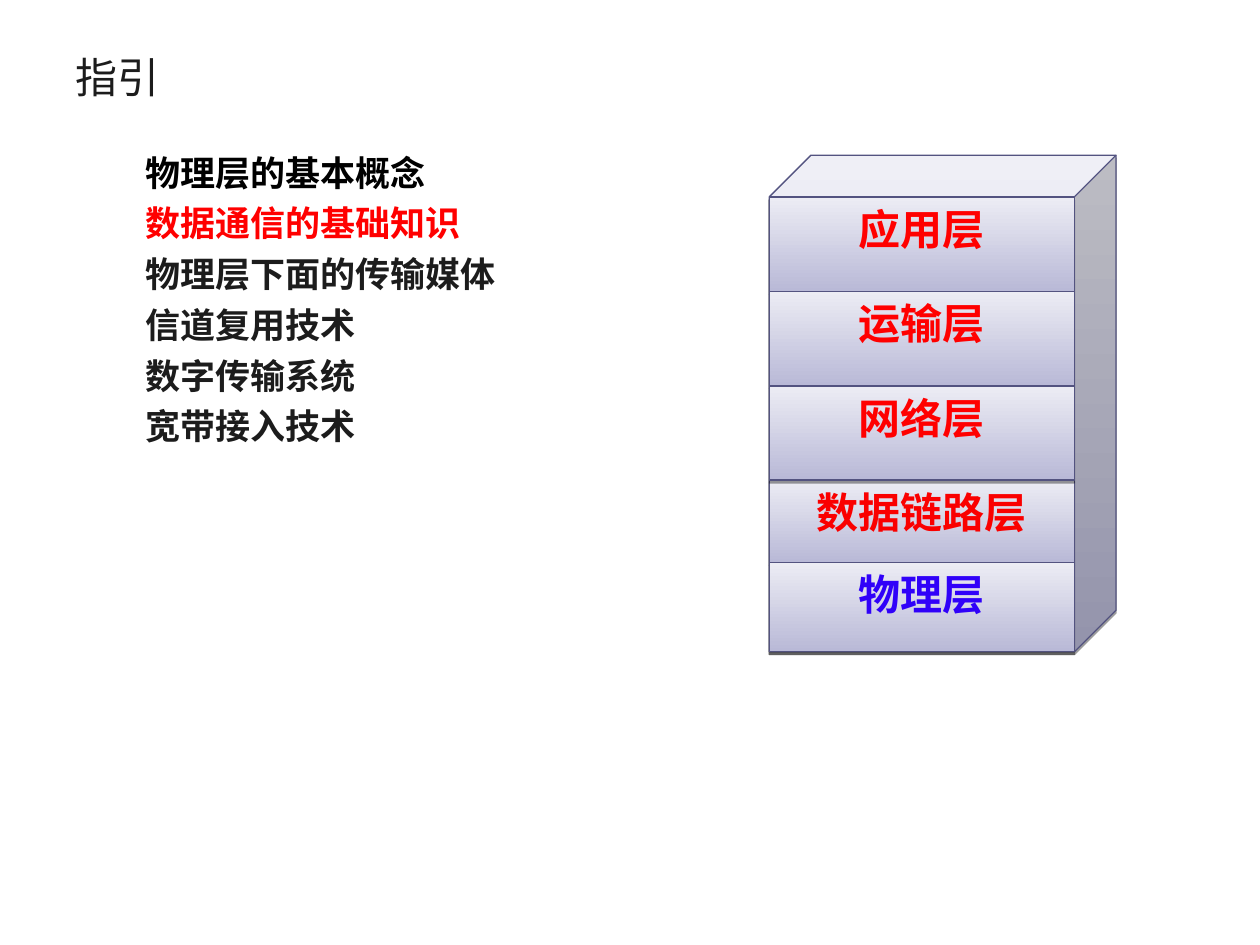
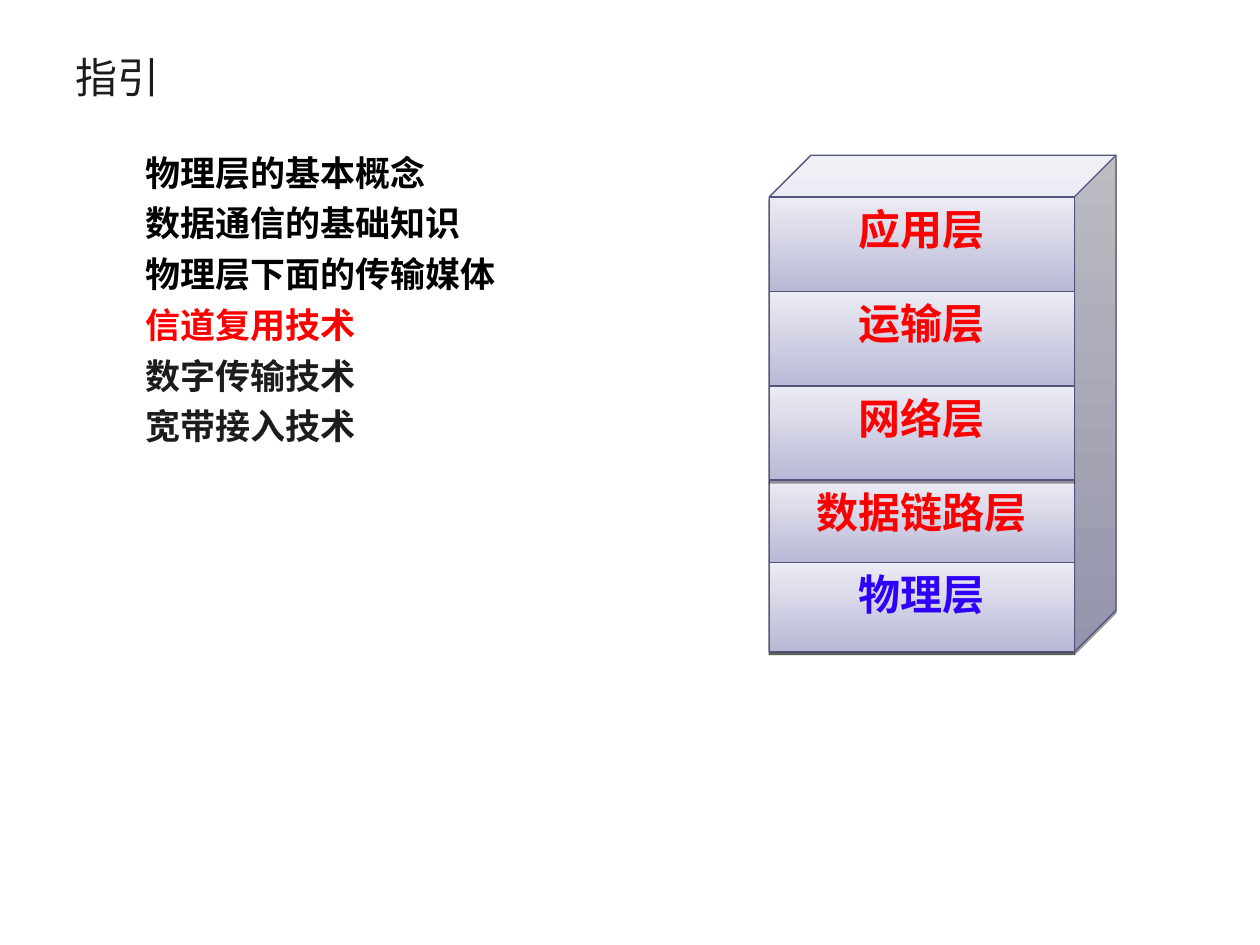
from lxml import etree
from pptx import Presentation
from pptx import util as u
from pptx.dml import color
from pptx.enum import shapes, text
from pptx.oxml import ns

FONT = "Noto Sans CJK SC"
HUES = {
    "ink": "1C1C1C", "past": "000000", "now": "FF0000",
    "upper": "FF0000", "link": "FA0000", "base": "3001F9",
    "dark": "B9B9D7", "light": "ECECF4", "edge": "535380", "shade": "000000",
}
LEFT, TOP, WIDTH = 15.51, 3.98, 6.15
TALL = 1.9
LINK_TOP = TOP + 3 * TALL
LINK_TALL, BASE_TALL = 1.66, 1.8
BASE_TOP = LINK_TOP + LINK_TALL
LINK_END = 12.65
LAYERS = [
    ("应用层", TOP, TALL, "upper", TOP + TALL, [TOP + TALL]),
    ("运输层", TOP + TALL, TALL, "upper", TOP + 2 * TALL, [TOP + 2 * TALL]),
    ("数据链路层", LINK_TOP, LINK_TALL, "link", LINK_END, [LINK_TOP, LINK_END]),
    ("网络层", TOP + 2 * TALL, TALL, "upper", LINK_TOP, []),
    ("物理层", BASE_TOP, BASE_TALL, "base", None, []),
]
START = ["物理层的基本概念", "数据通信的基础知识", "物理层下面的传输媒体", "信道复用技术"]
GUIDES = [
    (START + ["数字传输系统", "宽带接入技术"], 1),
    (START + ["数字传输技术", "宽带接入技术"], 3),
]


def cm(*sizes):
    return [u.Cm(size) for size in sizes]


def hue(name):
    return color.RGBColor.from_string(HUES[name])


def style(para, size, name, bold=False):
    for run in para.runs:
        run.font.size = u.Pt(size)
        run.font.bold = bold
        run.font.color.rgb = hue(name)
        run.font.name = FONT
        east = etree.SubElement(run.font._element, ns.qn("a:ea"))
        east.set("typeface", FONT)


def add_box(slide, place, words):
    frame = slide.shapes.add_textbox(*cm(*place)).text_frame
    frame.word_wrap = True
    frame.text = words
    return frame


def add_title(slide):
    frame = add_box(slide, (1.27, 0.78, 22.86, 1.55), "指引")
    frame.vertical_anchor = text.MSO_ANCHOR.MIDDLE
    style(frame.paragraphs[0], 24, "ink")


def add_list(slide, topics, now):
    frame = add_box(slide, (1.7, 2.92, 21.59, 13), "\n".join(topics))
    for rank, para in enumerate(frame.paragraphs):
        props = para._p.get_or_add_pPr()
        props.set("marL", str(u.Cm(0.95)))
        props.set("indent", str(u.Cm(0.03)))
        if rank:
            para.space_before = u.Pt(5)
        name = "past" if rank < now else "now" if rank == now else "ink"
        style(para, 20, name, True)


def add_block(group, kind, *place):
    block = group.shapes.add_shape(kind, *cm(*place))
    block.fill.gradient()
    block.fill.gradient_angle = 90
    for stop, name in zip(block.fill.gradient_stops, ("dark", "light")):
        stop.color.rgb = hue(name)
    block.line.color.rgb = hue("edge")
    block.line.width = u.Pt(0.75)
    block.shadow.inherit = False
    effects = block._element.spPr.find(ns.qn("a:effectLst"))
    shade = etree.SubElement(effects, ns.qn("a:outerShdw"), dist=str(u.Pt(1.6)),
                             dir="5400000", algn="ctr", rotWithShape="0")
    tint = etree.SubElement(shade, ns.qn("a:srgbClr"), val=HUES["shade"])
    etree.SubElement(tint, ns.qn("a:alpha"), val="38000")
    return block


def add_line(group, *ends):
    line = group.shapes.add_connector(shapes.MSO_CONNECTOR.STRAIGHT, *cm(*ends))
    line.line.color.rgb = hue("edge")
    line.line.width = u.Pt(0.75)
    etree.SubElement(line._element.spPr, ns.qn("a:effectLst"))


def add_layer(group, label, top, tall, name, end, seams):
    block = add_block(group, shapes.MSO_SHAPE.RECTANGLE, LEFT, top, WIDTH, tall)
    frame = block.text_frame
    frame.vertical_anchor = text.MSO_ANCHOR.TOP
    frame.text = label
    para = frame.paragraphs[0]
    para.alignment = text.PP_ALIGN.CENTER
    style(para, 24, name, True)
    for seam in seams:
        add_line(group, LEFT, seam, LEFT + WIDTH, seam)
    if end:
        for side in (LEFT, LEFT + WIDTH):
            add_line(group, side, top, side, end)


def add_stack(slide):
    group = slide.shapes.add_group_shape()
    cube = add_block(group, shapes.MSO_SHAPE.CUBE, LEFT, 3.13, 6.99, 10.01)
    cube.adjustments[0] = 0.12
    for layer in LAYERS:
        add_layer(group, *layer)


def main():
    deck = Presentation()
    deck.slide_width, deck.slide_height = cm(25.4, 19.05)
    for topics, now in GUIDES:
        slide = deck.slides.add_slide(deck.slide_layouts[6])
        add_title(slide)
        add_list(slide, topics, now)
        add_stack(slide)
    deck.save("out.pptx")


if __name__ == "__main__":
    main()
